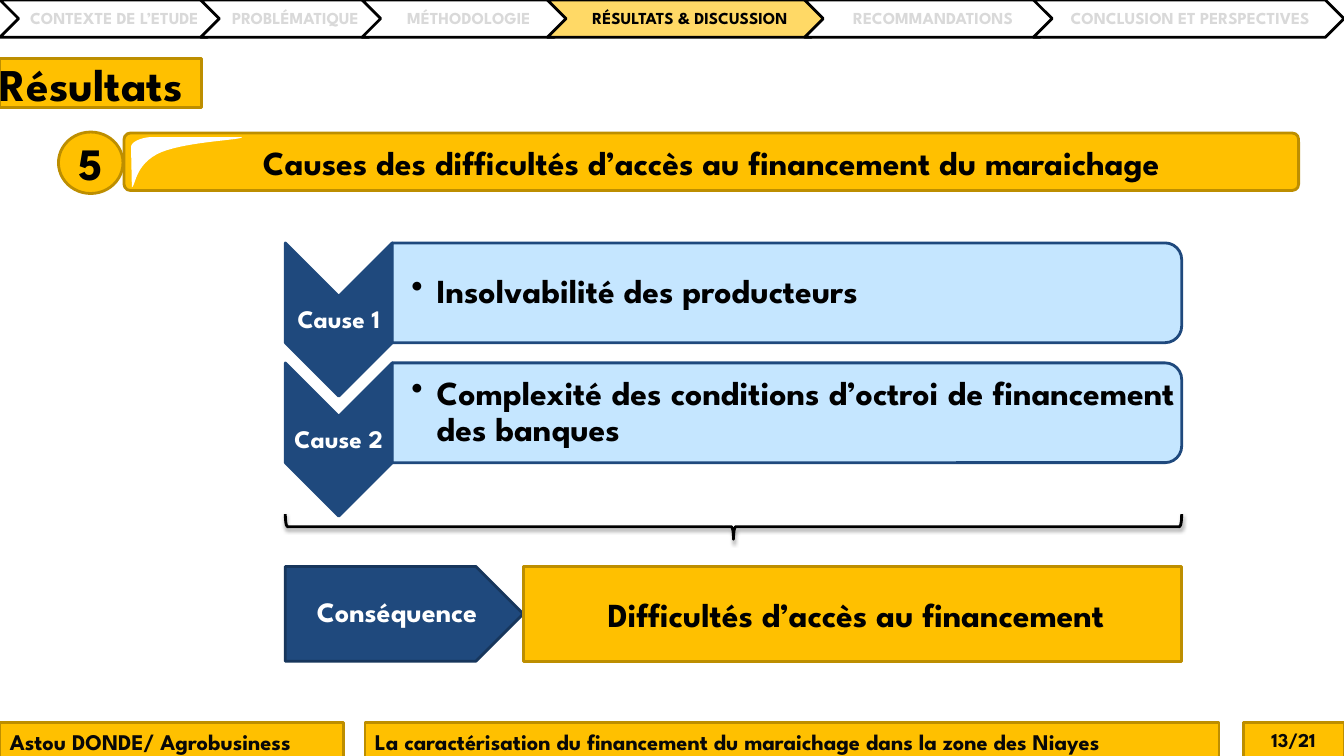
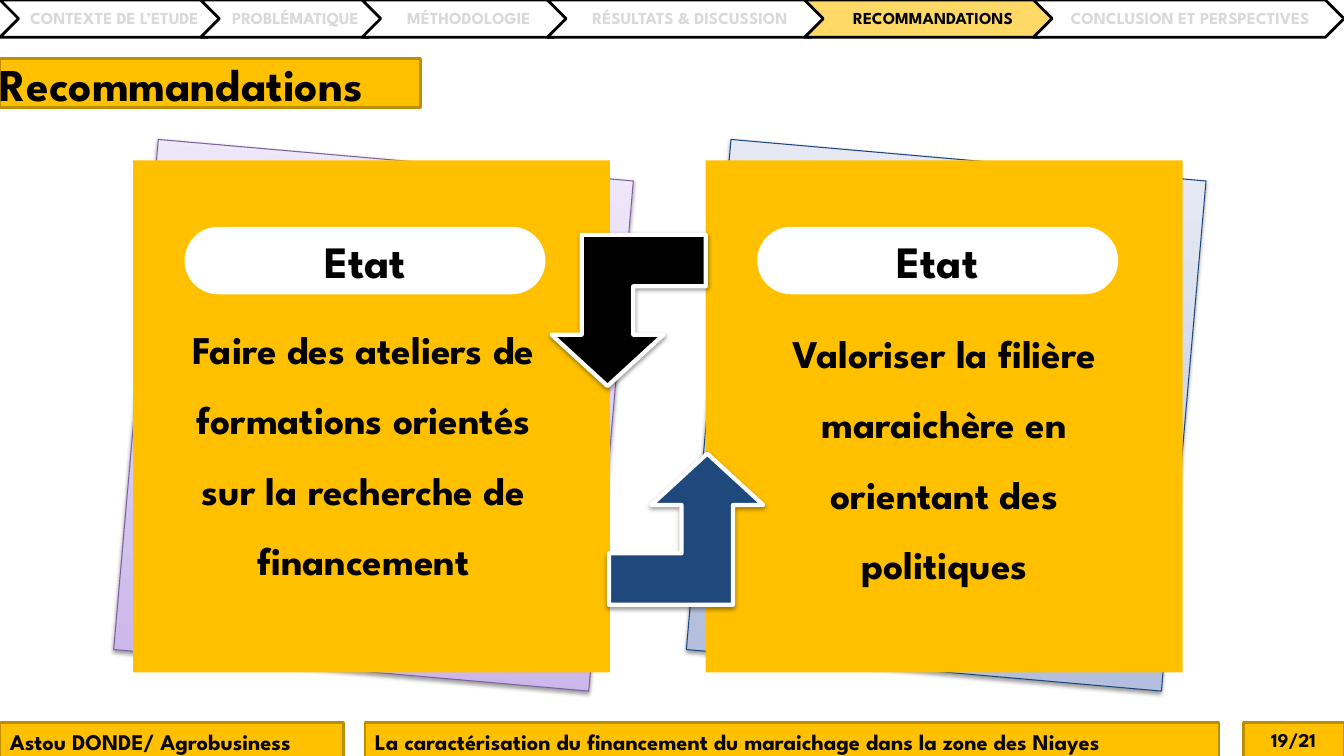
from pptx import Presentation
from pptx.dml.color import RGBColor
from pptx.enum import shapes, text
from pptx.oxml import parse_xml
from pptx.oxml.ns import nsdecls, qn
from pptx.util import Inches, Pt

# Content
SECTIONS = [  # label, chevron width
    ("CONTEXTE DE L’ETUDE", 2.24),
    ("PROBLÉMATIQUE", 1.85),
    ("MÉTHODOLOGIE", 2.09),
    ("RÉSULTATS & DISCUSSION", 2.80),
    ("RECOMMANDATIONS", 2.52),
    ("CONCLUSION ET PERSPECTIVES", 3.08),
]
AUTHOR = "Astou DONDE/ Agrobusiness"
SUBJECT = "La caractérisation du financement du maraichage dans la zone des Niayes"
RESULTS = {
    "title": "Résultats", "title_width": 2, "section": 3, "page": "13/21",
    "number": "5",
    "heading": "Causes des difficultés d’accès au financement du maraichage",
    "causes": [
        ("Cause 1", "Insolvabilité des producteurs"),
        ("Cause 2", "Complexité des conditions d’octroi de financement des banques"),
    ],
    "outcome": ("Conséquence", "Difficultés d’accès au financement"),
}
ADVICE = {
    "title": "Recommandations", "title_width": 4.17, "section": 4, "page": "19/21",
    "cards": [  # heading, body, body box (offset, top, width), sheet colours
        ("Etat", "Faire des ateliers de formations orientés sur la recherche de financement",
         (0.49, 2.94, 3.59), ("C9B5E8", "F0EAF9", "7D60A0")),
        ("Etat", "Valoriser la filière maraichère en orientant des politiques",
         (0.74, 2.98, 3.25), ("AFBBDA", "EAEDF5", "1C477D")),
    ],
}


class Theme:
    font = "League Spartan"
    black, white, ink = "000000", "FFFFFF", "080808"
    gold, gold_edge, active, muted = "FFC000", "BD8E00", "FFD966", "D9D9D9"
    navy, navy_edge, sky = "1F497D", "17365C", "BFE4FF"
    nav, page, footer, label, outcome = 12, 14, 16, 18, 20
    body, card, big, title = 24, 28, 32, 32.4


G = shapes.MSO_SHAPE
LEFT, CENTER, JUSTIFY = text.PP_ALIGN.LEFT, text.PP_ALIGN.CENTER, text.PP_ALIGN.JUSTIFY
TOP, MIDDLE = text.MSO_ANCHOR.TOP, text.MSO_ANCHOR.MIDDLE
GOLD = dict(fill=Theme.gold, line=Theme.gold_edge)
NAVY = dict(fill=Theme.navy, line=Theme.navy)


# Drawing helpers
def rgb(value):
    return RGBColor.from_string(value)


def paint(sp, fill=None, line=None, weight=2, shadow=False, alpha=None):
    sp.shadow.inherit = False
    if isinstance(fill, tuple):
        sp.fill.gradient()
        sp.fill.gradient_angle = 90
        for stop, value in zip(sp.fill.gradient_stops, fill):
            stop.color.rgb = rgb(value)
    elif fill:
        sp.fill.solid()
        sp.fill.fore_color.rgb = rgb(fill)
    else:
        sp.fill.background()
    if alpha:
        color = sp._element.spPr.find(qn("a:solidFill"))[0]
        color.append(parse_xml(f'<a:alpha {nsdecls("a")} val="{alpha * 1000}"/>'))
    if line:
        sp.line.color.rgb = rgb(line)
        sp.line.width = Pt(weight)
    else:
        sp.line.fill.background()
    if shadow:
        sp._element.spPr.find(qn("a:effectLst")).append(parse_xml(
            f'<a:outerShdw {nsdecls("a")} blurRad="{Pt(3.1)}" dist="{Pt(1.6)}" '
            'dir="5400000" rotWithShape="0"><a:srgbClr val="000000">'
            '<a:alpha val="38000"/></a:srgbClr></a:outerShdw>'))


def add_shape(s, kind, box, rot=0, adj=(), **look):
    """Draw a preset; for quarter turns, box is the area seen after turning."""
    x, y, w, h = box
    if rot in (90, 270):
        x, y, w, h = x + (w - h) / 2, y + (h - w) / 2, h, w
    sp = s.shapes.add_shape(kind, *map(Inches, (x, y, w, h)))
    sp.rotation = rot
    for i, value in enumerate(adj):
        sp.adjustments[i] = value
    paint(sp, **look)
    return sp


def add_box(s, box):
    return s.shapes.add_textbox(*map(Inches, box))


def write(sp, words, size, color=Theme.black, align=CENTER, anchor=MIDDLE,
          margins=(0.1, 0.05, 0.1, 0.05), spacing=None, wrap=True, bullet=False):
    tf = sp.text_frame
    tf.word_wrap = wrap
    tf.vertical_anchor = anchor
    tf.margin_left, tf.margin_top, tf.margin_right, tf.margin_bottom = map(Inches, margins)
    p = tf.paragraphs[0]
    p.alignment = align
    if spacing:
        p.line_spacing = spacing
    if bullet:
        pPr = p._p.get_or_add_pPr()
        pPr.set("marL", str(Inches(0.25)))
        pPr.set("indent", str(-Inches(0.25)))
        pPr.append(parse_xml(f'<a:buChar {nsdecls("a")} char="•"/>'))
    r = p.add_run()
    r.text = words
    r.font.name, r.font.size, r.font.bold = Theme.font, Pt(size), True
    r.font.color.rgb = rgb(color)


def curve(a, b, c, d, steps=16):
    """Points of a cubic curve after its start."""
    for i in range(1, steps + 1):
        t = i / steps
        u = 1 - t
        yield tuple(u**3 * e + 3 * u * u * t * f + 3 * u * t * t * g + t**3 * h
                    for e, f, g, h in zip(a, b, c, d))


# Shared frame: section chevrons, footer, title
def new_slide(prs, data):
    s = prs.slides.add_slide(prs.slide_layouts[6])
    x, overlap = 0, 0.25
    for i, (label, width) in enumerate(SECTIONS):
        current = i == data["section"]
        sp = add_shape(s, G.CHEVRON, (x, 0, width, 0.37), line=Theme.black,
                       fill=Theme.active if current else Theme.white)
        write(sp, label, Theme.nav, Theme.black if current else Theme.muted,
              margins=(0.05, 0.02, 0.02, 0.02), spacing=0.9, wrap=False)
        x += width - overlap
    for words, left, width in ((AUTHOR, 0, 3.41), (SUBJECT, 3.62, 8.47)):
        sp = add_shape(s, G.RECTANGLE, (left, 7.17, width, 0.37), **GOLD)
        write(sp, words, Theme.footer, Theme.ink, align=LEFT, anchor=TOP)
    sp = add_shape(s, G.RECTANGLE, (12.33, 7.17, 1, 0.34), **GOLD)
    write(sp, data["page"], Theme.page, Theme.ink, margins=(0.13, 0.07, 0.13, 0.07))
    sp = add_shape(s, G.RECTANGLE, (0, 0.58, data["title_width"], 0.49), **GOLD)
    write(sp, data["title"], Theme.title, align=LEFT, margins=(0, 0.07, 0, 0.07))
    return s


def add_heading(s, number, heading):
    sp = add_shape(s, G.ROUNDED_RECTANGLE, (1.23, 1.32, 11.65, 0.57), adj=[0.11], **GOLD)
    write(sp, heading, Theme.body, wrap=False)
    # Gloss in the corner of the banner
    start, bend, end = (1.52, 1.36), (1.6, 1.51), (2.4, 1.36)
    points = [*curve(start, (1.4, 1.36), (1.3, 1.41), (1.3, 1.46)),
              *curve((1.3, 1.86), (1.35, 1.87), (1.32, 1.63), bend),
              *curve(bend, (1.88, 1.4), (2.42, 1.39), end)]
    outline = s.shapes.build_freeform(Inches(start[0]), Inches(start[1]))
    outline.add_line_segments([(Inches(x), Inches(y)) for x, y in points])
    paint(outline.convert_to_shape(), fill=Theme.white)
    sp = add_shape(s, G.FLOWCHART_CONNECTOR, (0.58, 1.31, 0.64, 0.61), **GOLD)
    write(sp, number, Theme.big, margins=(0, 0.05, 0, 0.05))


def results_slide(prs, data):
    s = new_slide(prs, data)
    add_heading(s, data["number"], data["heading"])
    left, right, split = 2.83, 11.72, 3.89
    # Causes
    for i, (label, cause) in enumerate(data["causes"]):
        y = 2.41 + 1.19 * i
        add_shape(s, G.CHEVRON, (left, y, split - left, 1.52), rot=90, **NAVY)
        write(add_box(s, (left, y + 0.54, split - left, 0.45)), label, Theme.label,
              Theme.white, margins=(0.01,) * 4, spacing=0.9)
        add_shape(s, G.ROUND_2_SAME_RECTANGLE, (split, y, right - split, 0.99),
                  rot=90, fill=Theme.sky, alpha=90, line=Theme.navy)
        write(add_box(s, (split, y + 0.05, right - split - 0.05, 0.89)), cause, Theme.body,
              align=JUSTIFY, margins=(0.19, 0.02, 0.02, 0.02), spacing=0.9, bullet=True)
    add_shape(s, G.LEFT_BRACE, (left, 5.1, right - left, 0.25), rot=270,
              line=Theme.black, shadow=True)
    # Consequence
    label, outcome = data["outcome"]
    y, h, tip = 5.62, 0.94, 5.19
    sp = add_shape(s, G.PENTAGON, (left, y, tip - left, h),
                   fill=Theme.navy, line=Theme.navy_edge)
    write(sp, label, Theme.outcome, Theme.white, margins=(0.12, 0.06, 0.03, 0.06),
          spacing=0.9, wrap=False)
    sp = add_shape(s, G.RECTANGLE, (tip, y, right - tip, h), **GOLD)
    write(sp, outcome, Theme.body, margins=(0.58, 0.07, 0.51, 0.07))


def advice_slide(prs, data):
    s = new_slide(prs, data)
    # Cards over tilted sheets
    for i, (heading, body, (offset, top, width), sheet) in enumerate(data["cards"]):
        x, y, w, h = 1.32 + 5.68 * i, 1.59, 4.73, 5.08
        dark, light, edge = sheet
        add_shape(s, G.RECTANGLE, (x + 0.02, y - 0.01, w, h), rot=5, fill=(dark, light),
                  line=edge, weight=0.75, shadow=True)
        add_shape(s, G.RECTANGLE, (x, y, w, h), fill=Theme.gold)
        write(add_box(s, (x + offset, top, width, 3.64)), body, Theme.card,
              anchor=TOP, spacing=1.5)
        sp = add_shape(s, G.ROUNDED_RECTANGLE, (x + 0.51, 2.25, 3.58, 0.67),
                       adj=[0.5], fill=Theme.white)
        write(sp, heading, Theme.big)
    # Arrows between the cards
    for x, y, rot, fill in ((6.04, 4.5, 0, Theme.navy), (5.47, 2.33, 180, Theme.black)):
        add_shape(s, G.BENT_UP_ARROW, (x, y, 1.53, 1.5), rot=rot, adj=(0.34, 0.37, 0.34),
                  fill=fill, line=Theme.white, weight=3, shadow=True)


def main():
    prs = Presentation()
    prs.slide_width, prs.slide_height = Inches(13.33), Inches(7.5)
    results_slide(prs, RESULTS)
    advice_slide(prs, ADVICE)
    prs.save("out.pptx")


if __name__ == "__main__":
    main()
